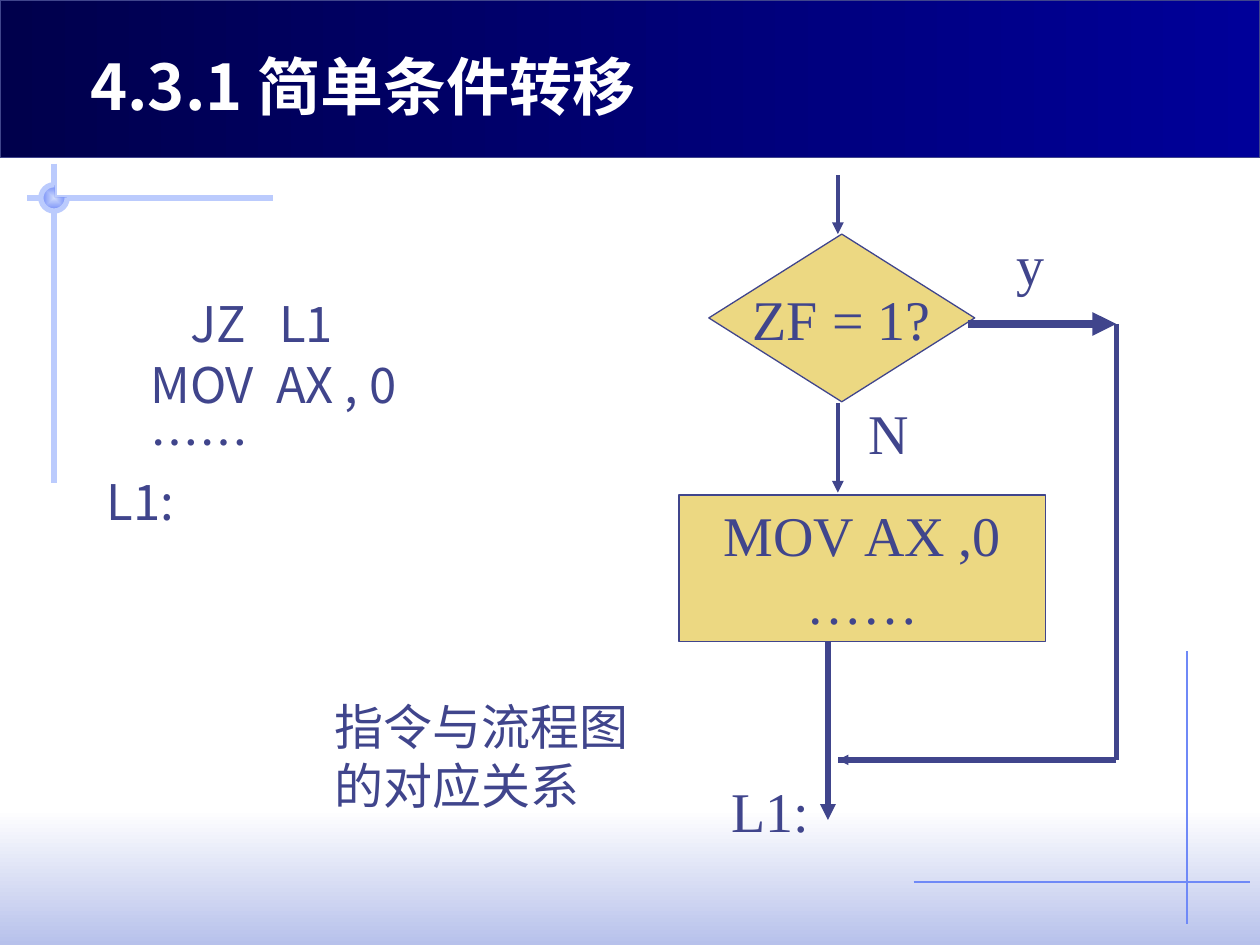
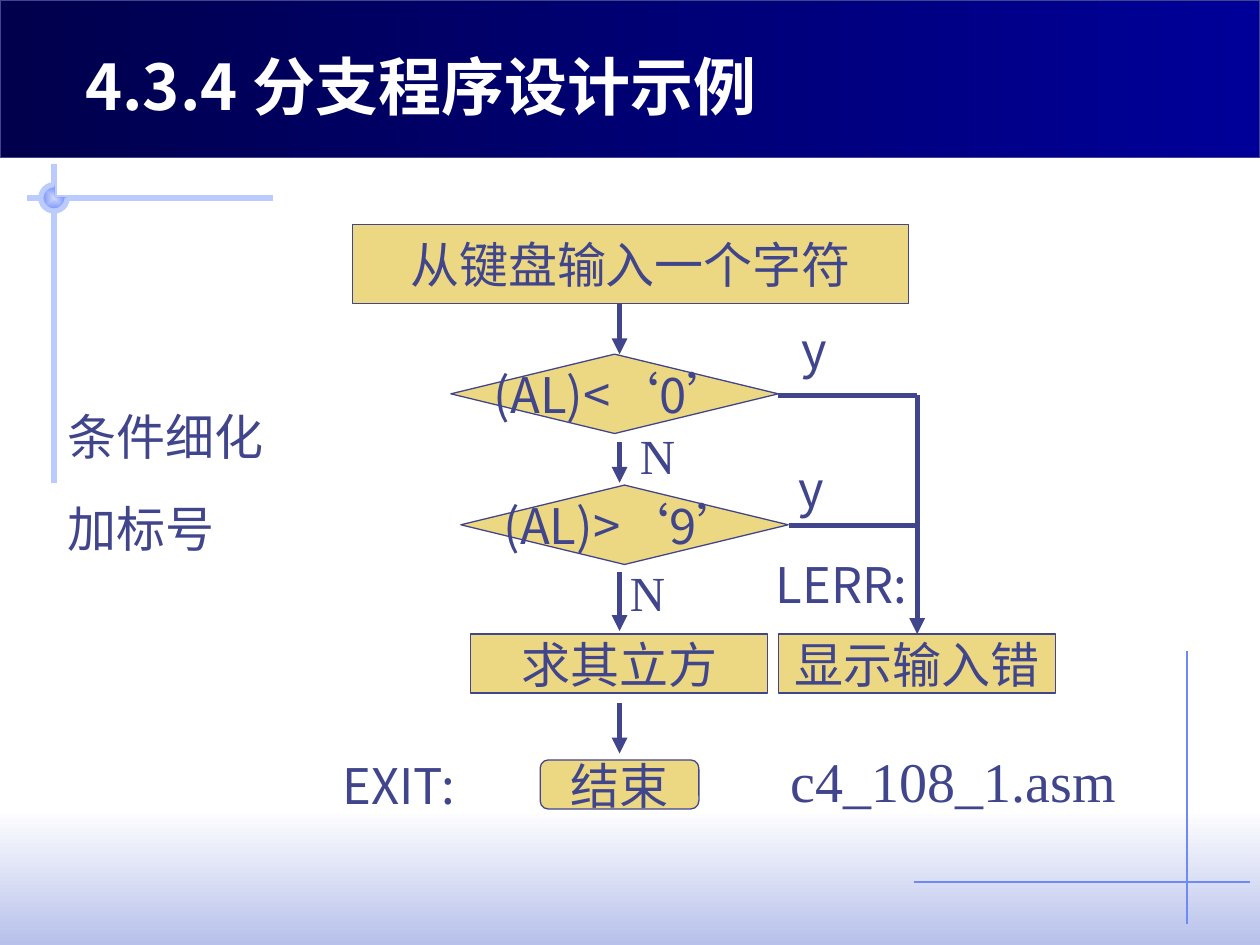
import dataclasses

import lxml.etree
import pptx
import pptx.dml.color
import pptx.enum.shapes
import pptx.enum.text
import pptx.oxml.ns
import pptx.util

Cm = pptx.util.Cm
Pt = pptx.util.Pt
qn = pptx.oxml.ns.qn
SHAPE = pptx.enum.shapes.MSO_SHAPE


@dataclasses.dataclass(frozen=True)
class Theme:
    """Colours, fonts and type sizes of the presentation."""
    ink: str = "40458C"
    white: str = "FFFFFF"
    box_fill: str = "ECD882"
    band_dark: str = "00004C"
    band_light: str = "000099"
    footer: str = "B7C1EB"
    accent: str = "6F89F7"
    accent_pale: str = "BBCBFD"
    accent_glow: str = "CFDBFD"
    serif: str = "Times New Roman"
    sans: str = "Noto Sans CJK SC"
    title_font: str = "Noto Sans CJK JP"
    title_size: int = 36
    large: int = 32
    body: int = 28
    hairline: float = 0.75
    medium: float = 2.25
    thick: float = 3
    heavy: float = 4.5


THEME = Theme()


@dataclasses.dataclass(frozen=True)
class Region:
    """A box on a slide, in centimetres, that places parts from its corner."""
    slide: object
    left: float
    top: float
    width: float
    height: float

    def rectangle(self, left, top, width, height):
        """Return the slide position of a part."""
        return (Cm(self.left + left), Cm(self.top + top), Cm(width), Cm(height))

    def shape(self, kind, bounds, line=THEME.ink, weight=THEME.hairline):
        """Add a preset shape without shadow; line None means no outline."""
        shape = self.slide.shapes.add_shape(kind, *self.rectangle(*bounds))
        shape.shadow.inherit = False
        if line:
            shape.line.color.rgb = rgb(line)
            shape.line.width = Pt(weight)
        else:
            shape.line.fill.background()
        return shape

    def line(self, start, end, weight=THEME.thick, color=THEME.ink, arrow=False):
        """Add a straight line, with an arrowhead at its end if asked."""
        (x1, y1), (x2, y2) = start, end
        connector = self.slide.shapes.add_connector(
            pptx.enum.shapes.MSO_CONNECTOR.STRAIGHT,
            Cm(self.left + x1), Cm(self.top + y1), Cm(self.left + x2), Cm(self.top + y2))
        connector.line.color.rgb = rgb(color)
        connector.line.width = Pt(weight)
        properties = connector._element.spPr
        if arrow:
            lxml.etree.SubElement(properties.find(qn("a:ln")), qn("a:tailEnd"), type="triangle")
        lxml.etree.SubElement(properties, qn("a:effectLst"))

    def node(self, kind, bounds, lines, font=THEME.sans, size=THEME.body):
        """Add a flowchart symbol with centred text."""
        shape = self.shape(kind, bounds)
        shape.fill.solid()
        shape.fill.fore_color.rgb = rgb(THEME.box_fill)
        frame = shape.text_frame
        frame.word_wrap = False
        frame.vertical_anchor = pptx.enum.text.MSO_ANCHOR.MIDDLE
        frame.text = lines
        for paragraph in frame.paragraphs:
            paragraph.alignment = pptx.enum.text.PP_ALIGN.CENTER
        format_runs(frame, font, size)

    def label(self, bounds, text, font=THEME.sans, size=THEME.body, color=THEME.ink,
              bold=False, wrap=False, inset=True):
        """Add a text box and return its text frame."""
        frame = self.slide.shapes.add_textbox(*self.rectangle(*bounds)).text_frame
        frame.word_wrap = wrap
        frame.auto_size = pptx.enum.text.MSO_AUTO_SIZE.SHAPE_TO_FIT_TEXT
        if not inset:
            frame.margin_left = frame.margin_right = 0
            frame.margin_top = frame.margin_bottom = 0
        frame.text = text
        format_runs(frame, font, size, color, bold)
        return frame


def rgb(color):
    """Turn a hexadecimal string into a colour."""
    return pptx.dml.color.RGBColor.from_string(color)


def format_runs(frame, font, size, color=THEME.ink, bold=False):
    """Format every run of a text frame."""
    for paragraph in frame.paragraphs:
        for run in paragraph.runs:
            run.font.size = Pt(size)
            run.font.bold = bold
            run.font.color.rgb = rgb(color)
            run.font.name = font
            east_asian = THEME.sans if font == THEME.serif else font
            lxml.etree.SubElement(run._r.get_or_add_rPr(), qn("a:ea"), typeface=east_asian)


def fill_gradient(shape, first, last, angle=0):
    """Fill a shape with a two-colour linear gradient."""
    shape.fill.gradient()
    shape.fill.gradient_angle = angle
    for stop, color in zip(shape.fill.gradient_stops, (first, last)):
        stop.color.rgb = rgb(color)


def center_gradient(shape):
    """Make the gradient of a shape spread from its centre."""
    gradient = shape._element.spPr.find(qn("a:gradFill"))
    gradient.remove(gradient.find(qn("a:lin")))
    spread = lxml.etree.SubElement(gradient, qn("a:path"), path="rect")
    lxml.etree.SubElement(spread, qn("a:fillToRect"), l="50000", t="50000", r="50000", b="50000")


def draw_ornament(region):
    """Draw the crossing bars and their three-quarter knob at top left."""
    cross_x, cross_y, diameter = 0.54, 0.69, 0.53
    for start, end in (((region.width, cross_y), (0, cross_y)),
                       ((cross_x, 0), (cross_x, region.height))):
        region.line(start, end, color=THEME.accent_pale)
    knob = (cross_x - diameter / 2, cross_y - diameter / 2, diameter, diameter)
    disc = region.shape(SHAPE.PIE, knob, line=None)
    fill_gradient(disc, THEME.accent_glow, THEME.accent)
    center_gradient(disc)
    ring = region.shape(SHAPE.ARC, knob, THEME.accent_pale, THEME.thick)
    ring.adjustments[0], ring.adjustments[1] = 0, 162
    ring.fill.background()


def draw_background(page):
    """Draw the footer fade, the corner lines, the ornament and the title band."""
    footer = page.shape(SHAPE.RECTANGLE, (0, 16.31, page.width, 2.74), line=None)
    fill_gradient(footer, THEME.white, THEME.footer, 270)
    for start, end in (((23.93, 13.13), (23.93, 18.62)), ((18.42, 17.78), (25.2, 17.78))):
        page.line(start, end, THEME.hairline, THEME.accent)
    draw_ornament(Region(page.slide, 0.55, 3.3, 4.95, 6.43))
    band = page.shape(SHAPE.RECTANGLE, (0, 0, page.width, 3.18))
    fill_gradient(band, THEME.band_dark, THEME.band_light)


def add_page(presentation, title, title_left, title_width):
    """Add a slide with the shared background and its title."""
    slide = presentation.slides.add_slide(presentation.slide_layouts[6])
    page = Region(slide, 0, 0, 25.4, 19.05)
    draw_background(page)
    page.label((title_left, 0.84, title_width, 1.78), title, THEME.title_font,
               THEME.title_size, THEME.white, bold=True)
    return slide


def draw_listing(region):
    """Write the assembly code of the conditional jump."""
    code = ("JZ   L1", "    MOV  AX , 0", "    ……", "L1:")
    frame = region.label((0, 0, region.width, region.height), "\n".join(code))
    first = frame.paragraphs[0]
    instruction = first.runs[0]
    indent = first.add_run()
    indent.text = " " * 6
    indent.font.name = THEME.serif
    indent.font.size = Pt(THEME.large)
    instruction._r.addprevious(indent._r)


def draw_jump_flow(region):
    """Draw the flowchart of the JZ instruction."""
    spine, exit_x, right = 3.2, 3.0, region.width
    yes_y, merge_y = 3.0, 11.79
    serif = {"font": THEME.serif, "size": THEME.large}
    region.node(SHAPE.DIAMOND, (0.6, 1.19, 5.36, 3.38), "ZF = 1?", **serif)
    region.node(SHAPE.RECTANGLE, (0, 6.45, 7.39, 2.95), "MOV AX ,0\n……", **serif)
    for top, bottom in ((0, 1.19), (4.6, 6.4)):
        region.line((spine, top), (spine, bottom), THEME.medium, arrow=True)
    region.line((5.82, yes_y), (right, yes_y), THEME.heavy, arrow=True)
    region.line((right, yes_y), (right, merge_y))
    region.line((right, merge_y), (spine, merge_y))
    region.line((5.0, merge_y), (spine, merge_y), THEME.hairline, arrow=True)
    region.line((exit_x, 9.4), (exit_x, region.height), arrow=True)
    for left, top, width, text in ((3.56, 4.37, 1.32, "N"), (6.55, 0.97, 1.07, "y"),
                                   (0.81, 11.99, 2.08, "L1:")):
        region.label((left, top, width, 1.63), text, **serif)


def draw_branch_flow(region):
    """Draw the flowchart that checks a digit and cubes it."""
    spine, error_x, action_y = 5.84, 11.84, 8.26
    for kind, bounds, text in (
            (SHAPE.RECTANGLE, (0.46, 0, 11.2, 1.6), "从键盘输入一个字符"),
            (SHAPE.DIAMOND, (2.44, 2.62, 6.6, 1.6), "(AL)<‘0’"),
            (SHAPE.DIAMOND, (2.64, 5.26, 6.6, 1.6), "(AL)>‘9’"),
            (SHAPE.RECTANGLE, (2.84, action_y, 5.99, 1.19), "求其立方"),
            (SHAPE.RECTANGLE, (9.04, action_y, 5.59, 1.19), "显示输入错"),
            (SHAPE.ROUNDED_RECTANGLE, (4.24, 10.8, 3.2, 0.99), "结束")):
        region.node(kind, bounds, text)
    for top, bottom in ((1.6, 2.62), (4.39, 5.21), (7.01, 8.2), (9.65, 10.67)):
        region.line((spine, top), (spine, bottom), arrow=True)
    for left, level in ((9.04, 3.45), (9.25, 6.07)):
        region.line((left, level), (error_x, level))
    region.line((error_x, 3.45), (error_x, action_y), arrow=True)
    for left, top in ((6.25, 4.06), (6.05, 6.81)):
        region.label((left, top, 0.99, 1.19), "N", THEME.serif, inset=False)
    for left, top, width, text in ((9.25, 1.8, 1, "y"), (9.19, 4.6, 1.09, "y"),
                                   (0, 10.59, 3.5, "EXIT:")):
        region.label((left, top, width, 1.45), text)
    region.label((8.99, 6.65, 3, 1.19), "LERR:", inset=False)
    region.label((9.04, 10.41, 7.2, 1.63), "c4_108_1.asm", THEME.serif, THEME.large)


def draw_side_notes(region):
    """Write the two notes beside the flowchart."""
    for top, text in ((0, "条件细化"), (1.85, "加标号")):
        region.label((0, top, region.width, 1.45), text, THEME.serif, wrap=True)


def add_jump_slide(presentation):
    """Add the slide on simple conditional jumps."""
    slide = add_page(presentation, "4.3.1 简单条件转移", 1.57, 11.79)
    draw_listing(Region(slide, 1.9, 5.66, 9.4, 5.18))
    draw_jump_flow(Region(slide, 13.69, 3.53, 8.81, 13))
    caption = Region(slide, 6.5, 13.92, 7.01, 2.64)
    caption.label((0, 0, caption.width, caption.height), "指令与流程图的对应关系",
                  THEME.serif, wrap=True)


def add_branch_slide(presentation):
    """Add the slide with the branch program example."""
    slide = add_page(presentation, "4.3.4 分支程序设计示例", 1.47, 14.35)
    draw_branch_flow(Region(slide, 6.65, 4.52, 16.24, 12.04))
    draw_side_notes(Region(slide, 1.12, 8.08, 4.6, 3.3))


def main():
    """Build and save the presentation."""
    presentation = pptx.Presentation()
    presentation.slide_width, presentation.slide_height = Cm(25.4), Cm(19.05)
    add_jump_slide(presentation)
    add_branch_slide(presentation)
    presentation.save("out.pptx")


if __name__ == "__main__":
    main()
